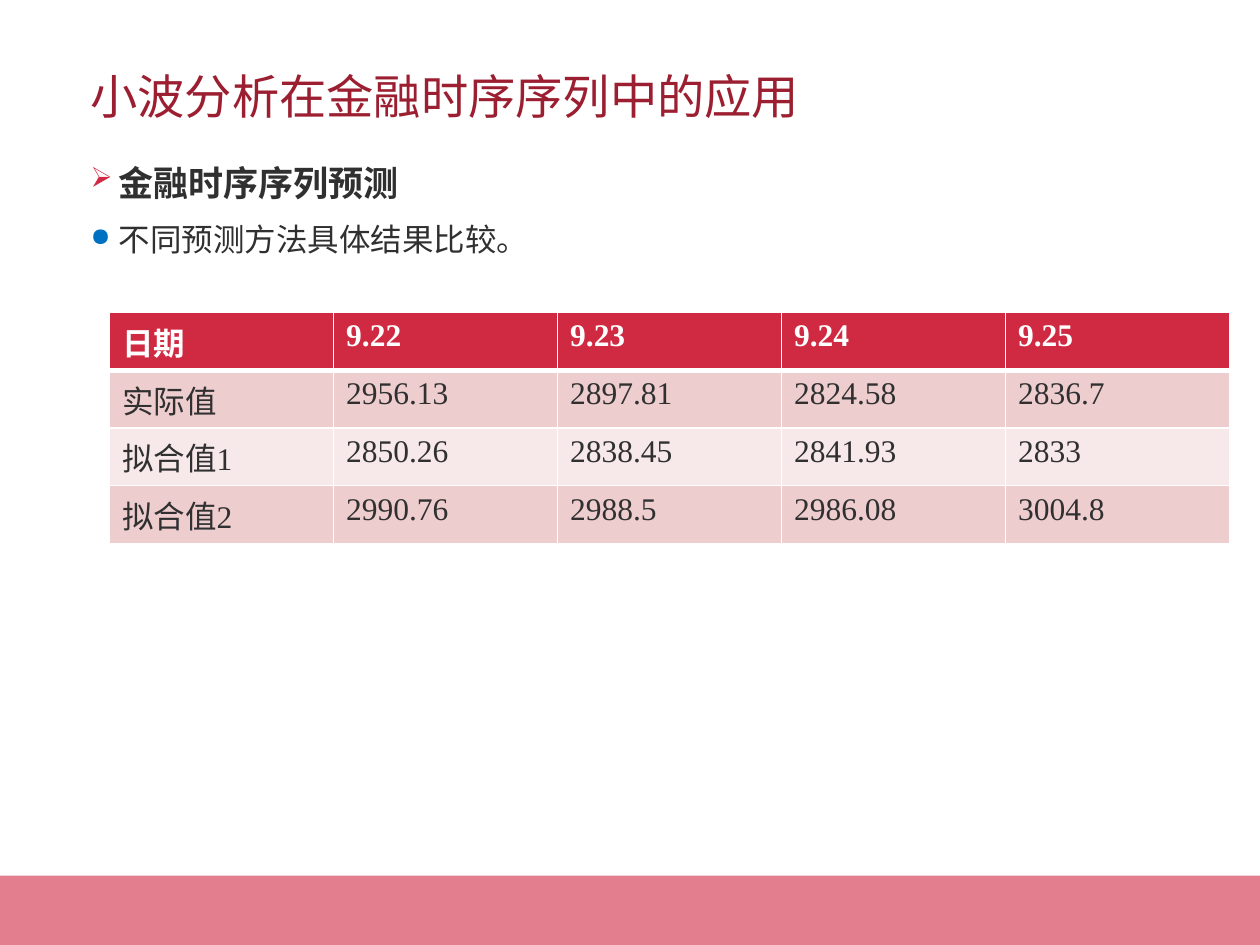
from lxml.etree import SubElement
from pptx import Presentation
from pptx.dml.color import RGBColor
from pptx.enum.shapes import MSO_SHAPE
from pptx.enum.text import MSO_ANCHOR
from pptx.oxml.ns import qn
from pptx.util import Pt

CRIMSON = RGBColor(0xD0, 0x29, 0x42)
DARK_RED = RGBColor(0x9C, 0x1F, 0x31)
BLUE = RGBColor(0x00, 0x70, 0xC0)
INK = RGBColor(0x30, 0x30, 0x30)
WHITE = RGBColor(0xFF, 0xFF, 0xFF)
PINK = RGBColor(0xEE, 0xCD, 0xCF)
PALE_PINK = RGBColor(0xF7, 0xE8, 0xE9)
FONT = "Times New Roman"

TITLE = "小波分析在金融时序序列中的应用"
POINTS = [
    ("金融时序序列预测", 20, True, 0.7, "➢", CRIMSON),
    ("不同预测方法具体结果比较。", 18, False, 1.0, "●", BLUE),
]
FORECASTS = [
    ("日期", "9.22", "9.23", "9.24", "9.25"),
    ("实际值", "2956.13", "2897.81", "2824.58", "2836.7"),
    ("拟合值1", "2850.26", "2838.45", "2841.93", "2833"),
    ("拟合值2", "2990.76", "2988.5", "2986.08", "3004.8"),
]


def style(paragraph, size, color, bold=False):
    """Set the font of a whole paragraph."""
    font = paragraph.font
    font.name, font.size, font.bold = FONT, Pt(size), bold
    font.color.rgb = color


def add_solid_fill(parent, color):
    """Append a solid fill to an XML element and return its colour element."""
    fill = SubElement(parent, qn("a:solidFill"))
    return SubElement(fill, qn("a:srgbClr"), val=str(color))


def add_bullet(paragraph, mark, color):
    """Give a paragraph a hanging coloured bullet."""
    properties = paragraph._p.get_or_add_pPr()
    properties.set("marL", str(Pt(16)))
    properties.set("indent", str(Pt(-16)))
    bullet_color = SubElement(properties, qn("a:buClr"))
    SubElement(bullet_color, qn("a:srgbClr"), val=str(color))
    SubElement(properties, qn("a:buSzPct"), val="80000")
    SubElement(properties, qn("a:buChar"), char=mark)


def add_borders(cell, bottom_width):
    """Draw white borders around a table cell."""
    properties = cell._tc.get_or_add_tcPr()
    widths = {"a:lnL": 1, "a:lnR": 1, "a:lnT": 1, "a:lnB": bottom_width}
    for side, width in widths.items():
        add_solid_fill(SubElement(properties, qn(side), w=str(Pt(width))), WHITE)


def add_footer_band(slide, left, top, width, height):
    """Place the translucent band along the bottom."""
    band = slide.shapes.add_shape(
        MSO_SHAPE.RECTANGLE, Pt(left), Pt(top), Pt(width), Pt(height))
    band.shadow.inherit = False
    band.line.fill.background()
    band.fill.solid()
    band.fill.fore_color.rgb = CRIMSON
    tint = band._element.spPr.find(qn("a:solidFill"))[0]
    SubElement(tint, qn("a:alpha"), val="60000")


def add_title(slide, left, top, width, height):
    """Place the title at the bottom of its box."""
    frame = slide.shapes.add_textbox(
        Pt(left), Pt(top), Pt(width), Pt(height)).text_frame
    frame.word_wrap = True
    frame.vertical_anchor = MSO_ANCHOR.BOTTOM
    heading = frame.paragraphs[0]
    heading.text = TITLE
    heading.line_spacing = 0.9
    style(heading, 27, DARK_RED)


def add_points(slide, left, top, width, height):
    """Place the bulleted points."""
    frame = slide.shapes.add_textbox(
        Pt(left), Pt(top), Pt(width), Pt(height)).text_frame
    frame.word_wrap = True
    for index, (text, size, bold, spacing, mark, color) in enumerate(POINTS):
        point = frame.add_paragraph() if index else frame.paragraphs[0]
        point.text = text
        point.line_spacing = spacing
        point.space_before = Pt(10.1)
        add_bullet(point, mark, color)
        style(point, size, INK, bold)


def add_forecast_table(slide, left, top, width, height):
    """Place the table of actual and fitted values."""
    table = slide.shapes.add_table(
        len(FORECASTS), len(FORECASTS[0]),
        Pt(left), Pt(top), Pt(width), Pt(height)).table
    for row, values in enumerate(FORECASTS):
        header = row == 0
        background = CRIMSON if header else PINK if row % 2 else PALE_PINK
        for column, value in enumerate(values):
            cell = table.cell(row, column)
            cell.text = value
            style(cell.text_frame.paragraphs[0], 18,
                  WHITE if header else INK, header)
            add_borders(cell, 3 if header else 1)
            cell.fill.solid()
            cell.fill.fore_color.rgb = background


def main():
    """Build the slide and save it."""
    presentation = Presentation()
    presentation.slide_width, presentation.slide_height = Pt(720), Pt(540)
    slide = presentation.slides.add_slide(presentation.slide_layouts[6])
    add_footer_band(slide, 0, 500.4, 720, 39.6)
    add_title(slide, 44.64, 15.12, 630.72, 59.76)
    add_points(slide, 44.64, 95.04, 675.36, 414)
    add_forecast_table(slide, 62.64, 178.56, 640, 132)
    presentation.save("out.pptx")


if __name__ == "__main__":
    main()
